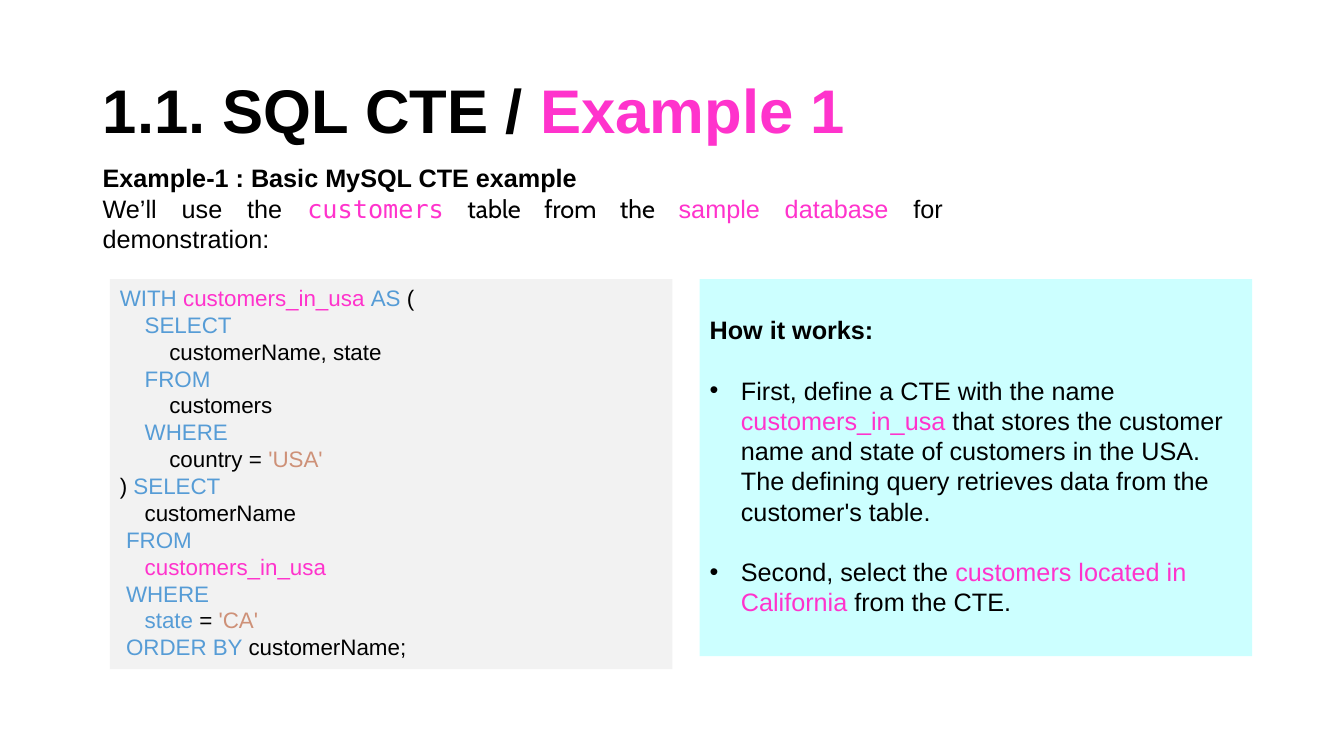
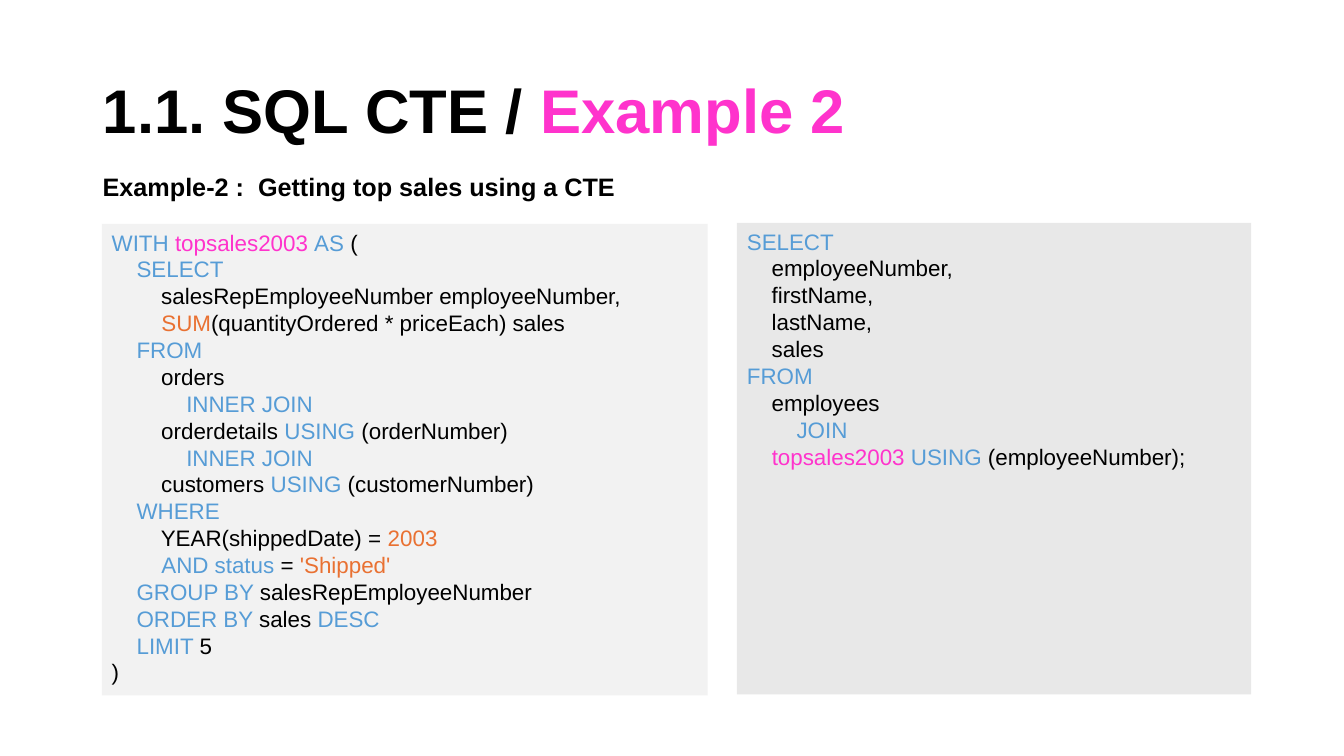
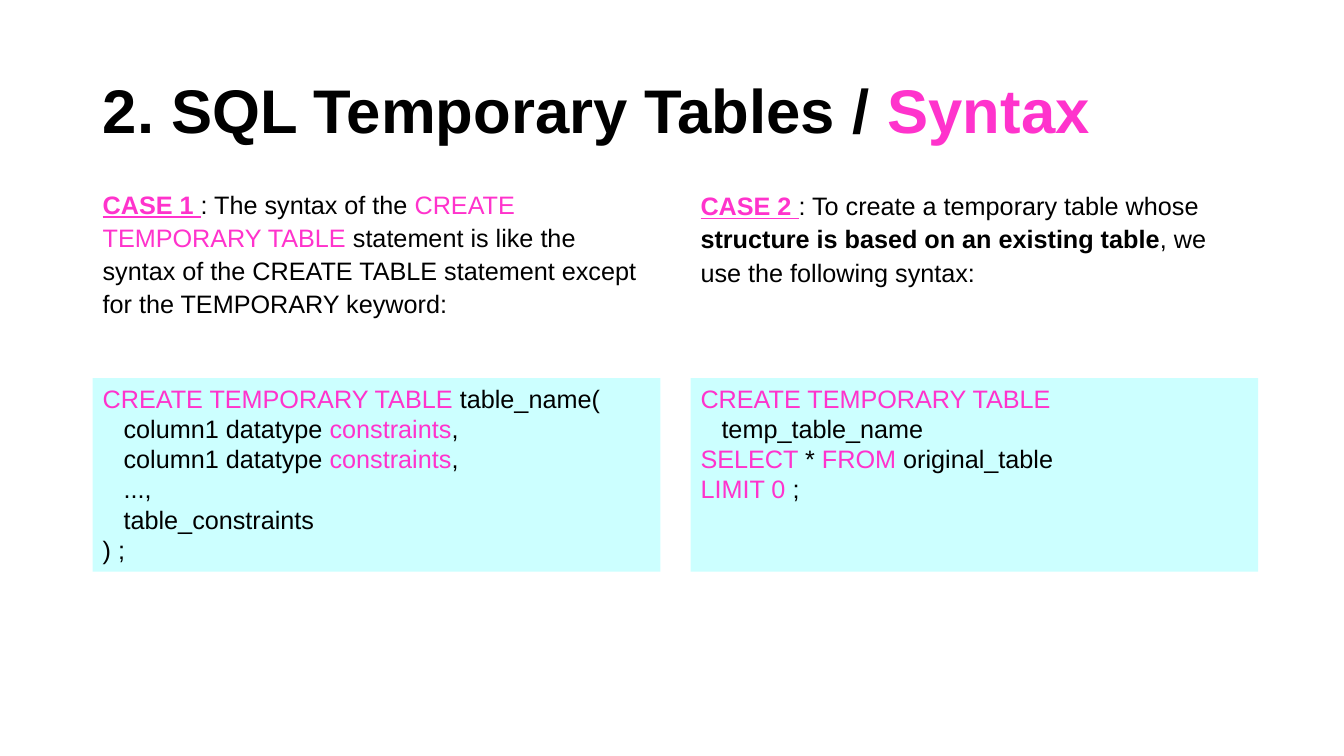
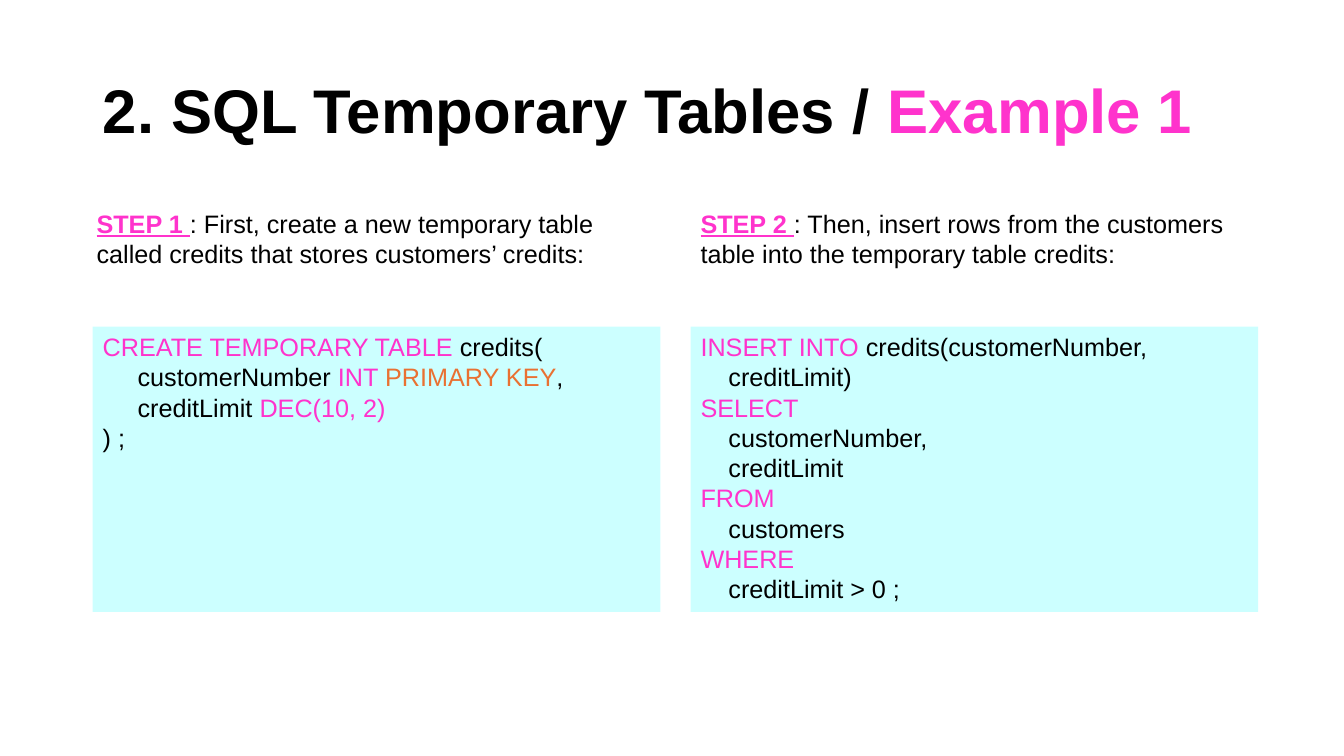
from lxml.etree import SubElement
from pptx import Presentation
from pptx.dml.color import RGBColor
from pptx.enum.shapes import MSO_SHAPE
from pptx.enum.text import MSO_ANCHOR, MSO_AUTO_SIZE, PP_ALIGN
from pptx.oxml.ns import qn
from pptx.util import Pt

PX = 9144  # EMU in one px, 100 px to the inch
TITLE_ONLY = 5
COLORS = {
    "black": "000000", "pink": "FF33CC", "blue": "569CD6", "orange": "E97132",
    "tan": "CE9178", "pale": "F2F2F2", "gray": "E8E8E8", "cyan": "CCFFFF",
}
FONTS = {"sans": "Arial", "cabin": "Cabin", "mono": "DejaVu Sans Mono"}
COLUMNS = (92, 685)
COLUMN_W = 563

CUSTOMERS_CTE = """\
{blue}WITH {pink}customers_in_usa {blue}AS {black}(
    {blue}SELECT
        customerName, state
    {blue}FROM
        customers
    {blue}WHERE
        country = {tan}'USA'
) {blue}SELECT
    customerName
 {blue}FROM
    {pink}customers_in_usa
 {blue}WHERE
    {blue}state {black}= {tan}'CA'
 {blue}ORDER BY {black}customerName;"""

TOP_SALES_CTE = """\
{blue}WITH {pink}topsales2003 {blue}AS {black}(
    {blue}SELECT
        salesRepEmployeeNumber employeeNumber,
        {orange}SUM{black}(quantityOrdered * priceEach) sales
    {blue}FROM
        orders
            {blue}INNER JOIN
        orderdetails {blue}USING {black}(orderNumber)
            {blue}INNER JOIN
        customers {blue}USING {black}(customerNumber)
    {blue}WHERE
        YEAR(shippedDate) = {orange}2003
        {blue}AND status {black}= {orange}'Shipped'
    {blue}GROUP BY {black}salesRepEmployeeNumber
    {blue}ORDER BY {black}sales {blue}DESC
    {blue}LIMIT {black}5
)"""

TOP_SALES_QUERY = """\
{blue}SELECT
    employeeNumber,
    firstName,
    lastName,
    sales
{blue}FROM
    employees
        {blue}JOIN
    {pink}topsales2003 {blue}USING {black}(employeeNumber);"""

NEW_TABLE = """\
{pink}CREATE TEMPORARY TABLE {black}table_name(
   column1 datatype {pink}constraints{black},
   column1 datatype {pink}constraints{black},
   ...,
   table_constraints
) ;"""

TABLE_FROM_EXISTING = """\
{pink}CREATE TEMPORARY TABLE
   temp_table_name
{pink}SELECT {black}* {pink}FROM {black}original_table
{pink}LIMIT 0 {black};"""

CREATE_CREDITS = """\
{pink}CREATE TEMPORARY TABLE {black}credits(
     customerNumber {pink}INT {orange}PRIMARY KEY{black},
     creditLimit {pink}DEC(10, 2)
) ;"""

FILL_CREDITS = """\
{pink}INSERT INTO {black}credits(customerNumber,
    creditLimit)
{pink}SELECT
    customerNumber,
    creditLimit
{pink}FROM
    customers
{pink}WHERE
    creditLimit > 0 ;"""


def rgb(name):
    return RGBColor.from_string(COLORS[name])


def add_run(p, text, styles, size, bold):
    r = p.add_run()
    r.text = text
    r.font.size = Pt(size)
    r.font.bold = bold or "bold" in styles
    r.font.underline = "underline" in styles
    r.font.name = next((FONTS[s] for s in styles if s in FONTS), FONTS["sans"])
    r.font.color.rgb = rgb(next((s for s in styles if s in COLORS), "black"))


def add_bullet(p):
    pPr = p._p.get_or_add_pPr()
    pPr.set("marL", str(31 * PX))
    pPr.set("indent", str(-31 * PX))
    SubElement(pPr, qn("a:buFont"), typeface=FONTS["sans"])
    SubElement(pPr, qn("a:buChar"), char="•")


def write(tf, text, size=18, bold=False, align=PP_ALIGN.LEFT, spacing=None,
          before=0, anchor=MSO_ANCHOR.TOP):
    """Fill a frame, one paragraph a line.

    {style ...} formats the text up to the next brace; a leading • makes a bullet.
    """
    tf.word_wrap = True
    tf.auto_size = MSO_AUTO_SIZE.NONE
    tf.vertical_anchor = anchor
    for i, line in enumerate(text.split("\n")):
        p = tf.add_paragraph() if i else tf.paragraphs[0]
        if line.startswith("•"):
            line = line[1:]
            add_bullet(p)
        p.alignment = align
        if spacing:
            p.line_spacing = spacing
        if i and before:
            p.space_before = Pt(before)
        plain, *styled = line.split("{")
        if plain:
            add_run(p, plain, [], size, bold)
        for piece in styled:
            styles, _, words = piece.partition("}")
            add_run(p, words, styles.split(), size, bold)


def add_slide(prs, title):
    s = prs.slides.add_slide(prs.slide_layouts[TITLE_ONLY])
    sp = s.shapes.title
    sp.left, sp.top, sp.width, sp.height = (v * PX for v in (92, 40, 1150, 145))
    write(sp.text_frame, title, size=44, bold=True, spacing=0.9,
          anchor=MSO_ANCHOR.MIDDLE)
    return s


def add_note(s, x, y, w, h, text, **fmt):
    sp = s.shapes.add_textbox(x * PX, y * PX, w * PX, h * PX)
    write(sp.text_frame, text, anchor=MSO_ANCHOR.MIDDLE, **fmt)


def add_panel(s, x, y, w, h, text, fill="cyan", **fmt):
    sp = s.shapes.add_shape(MSO_SHAPE.RECTANGLE, x * PX, y * PX, w * PX, h * PX)
    sp.shadow.inherit = False
    sp.fill.solid()
    sp.fill.fore_color.rgb = rgb(fill)
    sp.line.fill.background()
    write(sp.text_frame, text, **fmt)
    return sp


def add_panel_pair(s, y, h, texts):
    for x, text in zip(COLUMNS, texts):
        add_panel(s, x, y, COLUMN_W, h, text)


def cte_example_1(prs):
    s = add_slide(prs, "1.1. SQL CTE / {pink}Example 1")
    add_note(s, 92, 171, 853, 71,
             "{bold}Example-1 : Basic MySQL CTE example\n"
             "We’ll use the {pink mono}customers{cabin} table from the "
             "{pink}sample database {black}for demonstration:",
             align=PP_ALIGN.JUSTIFY)
    add_panel(s, 109, 277, 558, 387, CUSTOMERS_CTE, fill="pale", size=16)
    sp = add_panel(s, 694, 277, 548, 374,
                   "{bold}How it works:\n"
                   "•First, define a CTE with the name {pink}customers_in_usa "
                   "{black}that stores the customer name and state of customers "
                   "in the USA. The defining query retrieves data from the "
                   "customer's table.\n"
                   "•Second, select the {pink}customers located in California "
                   "{black}from the CTE.",
                   before=21.6)
    sp.text_frame.margin_top = 35 * PX


def cte_example_2(prs):
    s = add_slide(prs, "1.1. SQL CTE / {pink}Example 2")
    add_note(s, 92, 165, 1150, 40, "Example-2 :  Getting top sales using a CTE",
             bold=True, align=PP_ALIGN.JUSTIFY)
    add_panel(s, 101, 222, 601, 468, TOP_SALES_CTE, fill="pale", size=16)
    add_panel(s, 731, 221, 510, 468, TOP_SALES_QUERY, fill="gray", size=16)


def temporary_table_syntax(prs):
    s = add_slide(prs, "2. SQL Temporary Tables / {pink}Syntax")
    add_note(s, COLUMNS[0], 180, COLUMN_W, 141,
             "{pink bold underline}CASE 1 {black}: The syntax of the "
             "{pink}CREATE TEMPORARY TABLE {black}statement is like the syntax of "
             "the CREATE TABLE statement except for the TEMPORARY keyword:",
             spacing=1.1)
    add_note(s, COLUMNS[1], 182, COLUMN_W, 107,
             "{pink bold underline}CASE 2 {black}: To create a temporary table "
             "whose {bold}structure is based on an existing table{black}, we use "
             "the following syntax:",
             spacing=1.1)
    add_panel_pair(s, 375, 192, (NEW_TABLE, TABLE_FROM_EXISTING))


def temporary_table_example(prs):
    s = add_slide(prs, "2. SQL Temporary Tables / {pink}Example 1")
    add_note(s, 86, 201, COLUMN_W, 71,
             "{pink bold underline}STEP 1 {black}: First, create a new temporary "
             "table called credits that stores customers’ credits:")
    add_note(s, COLUMNS[1], 201, COLUMN_W, 71,
             "{pink bold underline}STEP 2 {black}: Then, insert rows from the "
             "customers table into the temporary table credits:")
    add_panel_pair(s, 324, 283, (CREATE_CREDITS, FILL_CREDITS))


def main():
    prs = Presentation()
    prs.slide_width, prs.slide_height = 1333 * PX, 750 * PX
    cte_example_1(prs)
    cte_example_2(prs)
    temporary_table_syntax(prs)
    temporary_table_example(prs)
    prs.save("out.pptx")


if __name__ == "__main__":
    main()
